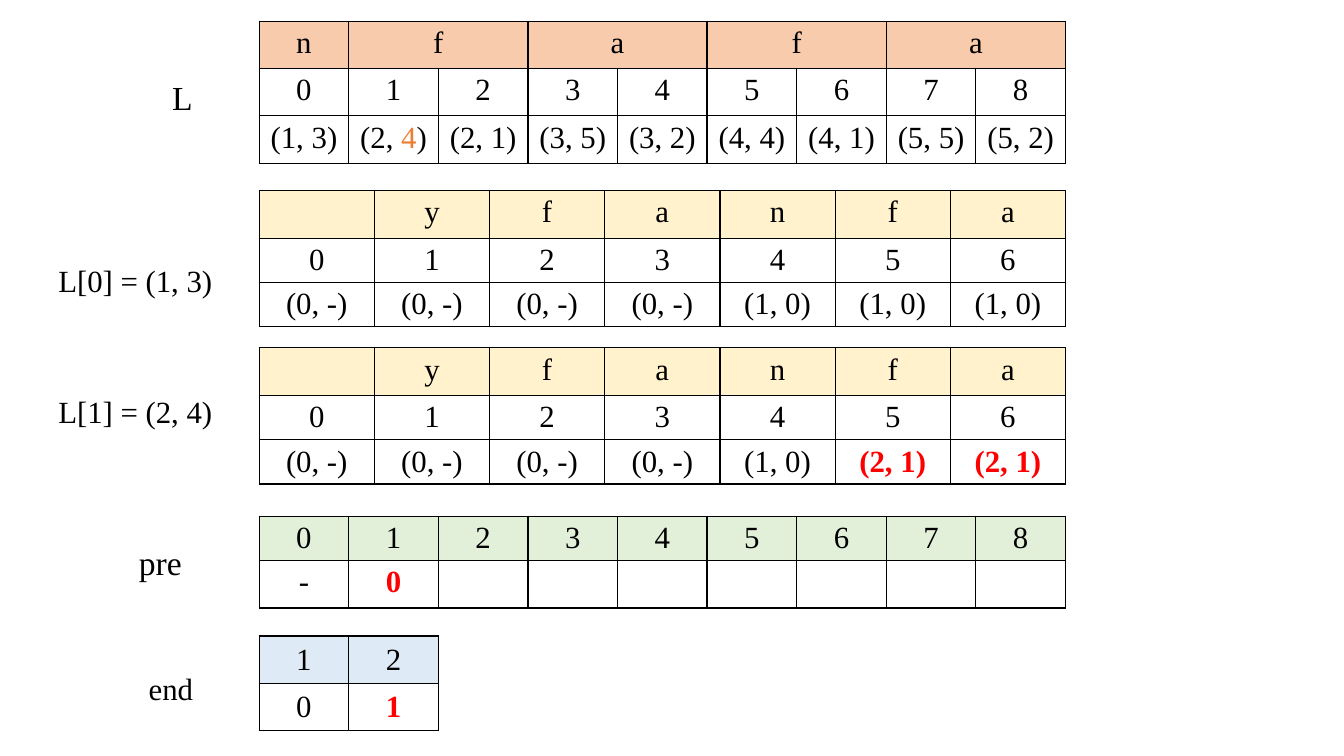
from dataclasses import dataclass

from lxml import etree
from pptx import Presentation
from pptx.dml.color import RGBColor
from pptx.enum.text import MSO_ANCHOR, PP_ALIGN
from pptx.oxml.ns import qn
from pptx.util import Inches, Pt

CENTER, LEFT = PP_ALIGN.CENTER, PP_ALIGN.LEFT
TOP, MIDDLE = MSO_ANCHOR.TOP, MSO_ANCHOR.MIDDLE


@dataclass(frozen=True)
class Theme:
    """Colours, font and type sizes of the slide."""
    font: str = "Times New Roman"
    body: int = 22
    large: int = 24
    ink: str = "000000"
    changed: str = "FF0000"
    accent: str = "ED7D31"
    groups: str = "F8CBAD"
    letters: str = "FFF2CC"
    pre: str = "E2F0D9"
    end: str = "DEEBF7"


THEME = Theme()
TABLE_LEFT = 2.57
TABLE_WIDTH = 8
PAIR_WIDTH = TABLE_WIDTH / 9


@dataclass(frozen=True)
class Span:
    """A stretch of text with its own colour and weight."""
    text: str
    color: str = THEME.ink
    bold: bool = False


def changed(text):
    """Return cell content marked as newly updated."""
    return [Span(text, THEME.changed, True)]


def add_spans(paragraph, content, size=THEME.body, align=CENTER):
    """Write plain text or a list of spans into a paragraph."""
    paragraph.alignment = align
    spans = [Span(content)] if isinstance(content, str) else content
    for span in spans:
        run = paragraph.add_run()
        run.text = span.text
        run.font.name = THEME.font
        run.font.size = Pt(size)
        run.font.bold = span.bold
        run.font.color.rgb = RGBColor.from_string(span.color)


def add_borders(cell):
    """Draw a thin line on all four sides of a cell."""
    properties = cell._tc.get_or_add_tcPr()
    for side in ("a:lnL", "a:lnR", "a:lnT", "a:lnB"):
        line = etree.SubElement(properties, qn(side), w=str(Pt(1)))
        fill = etree.SubElement(line, qn("a:solidFill"))
        etree.SubElement(fill, qn("a:srgbClr"), val=THEME.ink)


def style_cell(cell, fill, anchor):
    """Set the borders, fill and vertical position of a cell."""
    add_borders(cell)
    cell.vertical_anchor = anchor
    if fill:
        cell.fill.solid()
        cell.fill.fore_color.rgb = RGBColor.from_string(fill)
    else:
        cell.fill.background()


def add_array(slide, top, row_height, column_width, header_fill, rows, anchor=TOP):
    """Add a table; a None entry joins its cell to the one on its left."""
    row_count, column_count = len(rows), len(rows[0])
    table = slide.shapes.add_table(
        row_count, column_count, Inches(TABLE_LEFT), Inches(top),
        Inches(column_width * column_count), Inches(row_height * row_count)).table
    table.first_row = table.horz_banding = False
    for column in table.columns:
        column.width = Inches(column_width)
    for r, row in enumerate(rows):
        table.rows[r].height = Inches(row_height)
        for c, content in enumerate(row):
            cell = table.cell(r, c)
            style_cell(cell, None if r else header_fill, anchor)
            if content is None:
                table.cell(r, c - 1).merge(cell)
            elif content:
                add_spans(cell.text_frame.paragraphs[0], content)
            else:
                cell.text_frame.paragraphs[0].font.size = Pt(THEME.body)


def add_label(slide, text, left, top, width, height, size=THEME.body, align=LEFT, wrap=True):
    """Add the name of an array beside its table."""
    frame = slide.shapes.add_textbox(
        Inches(left), Inches(top), Inches(width), Inches(height)).text_frame
    frame.word_wrap = wrap
    add_spans(frame.paragraphs[0], text, size, align)


def digits(start, stop):
    """Return the index labels from start up to, not including, stop."""
    return [str(number) for number in range(start, stop)]


def main():
    """Build the slide and save it."""
    deck = Presentation()
    deck.slide_width, deck.slide_height = Inches(13.33), Inches(7.5)
    slide = deck.slides.add_slide(deck.slide_layouts[6])

    add_array(slide, 0.21, 0.47, PAIR_WIDTH, THEME.groups, [
        ["n", "f", None, "a", None, "f", None, "a", None],
        digits(0, 9),
        ["(1, 3)", [Span("(2, "), Span("4", THEME.accent), Span(")")], "(2, 1)",
         "(3, 5)", "(3, 2)", "(4, 4)", "(4, 1)", "(5, 5)", "(5, 2)"],
    ])
    unmatched = ["(0, -)"] * 4
    states = [
        (1.89, unmatched + ["(1, 0)"] * 3),
        (3.45, unmatched + ["(1, 0)"] + [changed("(2, 1)")] * 2),
    ]
    for top, state in states:
        add_array(slide, top, 0.44, TABLE_WIDTH / 7, THEME.letters,
                  [["", *"yfanfa"], digits(0, 7), state])
    add_array(slide, 5.12, 0.44, PAIR_WIDTH, THEME.pre,
              [digits(0, 9), ["-", changed("0")] + [""] * 7])
    add_array(slide, 6.31, 0.47, PAIR_WIDTH, THEME.end,
              [digits(1, 3), ["0", changed("1")]], MIDDLE)

    add_label(slide, "L", 1.61, 0.71, 0.57, 0.5, THEME.large)
    add_label(slide, "L[0] = (1, 3)", 0.48, 2.55, 1.89, 0.47)
    add_label(slide, "L[1] = (2, 4)", 0.48, 3.85, 6.67, 0.47)
    add_label(slide, "pre", 1.28, 5.33, 0.63, 0.5, THEME.large, wrap=False)
    add_label(slide, "end", 0.8, 6.59, 1.79, 0.47, align=CENTER)
    deck.save("out.pptx")


if __name__ == "__main__":
    main()
